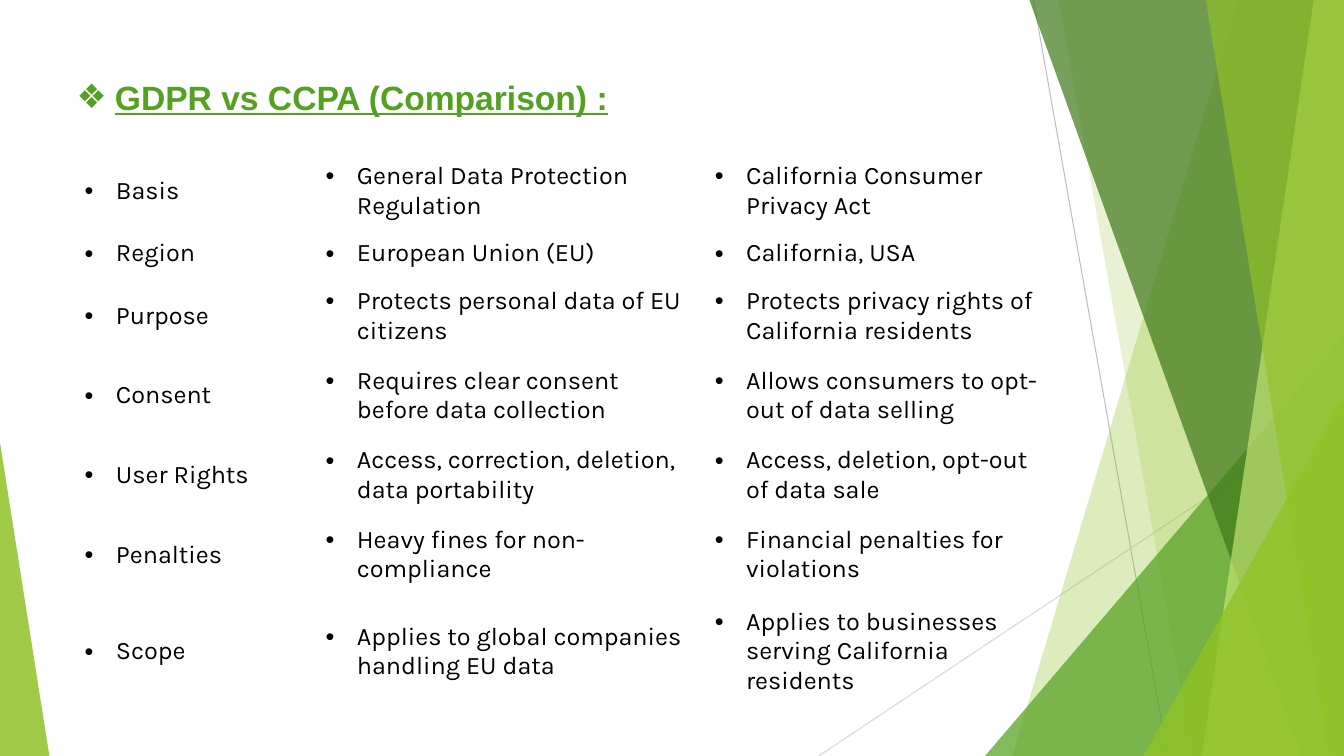
from lxml.etree import SubElement as Sub
from pptx import Presentation
from pptx.dml.color import RGBColor as Rgb
from pptx.enum.shapes import MSO_CONNECTOR as Conn, MSO_SHAPE as Kind
from pptx.enum.text import MSO_ANCHOR as Anchor, MSO_AUTO_SIZE as Auto, PP_ALIGN as Align
from pptx.oxml.ns import qn
from pptx.util import Inches, Pt

HUES = {"lime": "90C226", "green": "54A021", "dark": "3F7819", "pale": "C0E474",
        "gray": "BFBFBF", "mist": "D9D9D9", "ink": "000000"}
PLAIN = "{2D5ABB26-0587-4C30-8999-92F81FD0307C}"

RAYS = [(0.48, 0, 1.81, 7.5, "gray"), (3.56, 4.03, -1.65, 7.5, "mist")]
PARTS = [
    ("band", 2.51, 0.27, "lime", 30),
    ("band", 0.73, 2.06, "lime", 20),
    ("peak", 0, 3.33, "green", 72),
    ("band", 0.44, 3.14, "dark", 70),
    ("band", 3.26, 2.15, "pale", 70),
    ("band", 2.19, 3.41, "lime", 65),
    ("peak", 1.57, 3.93, "lime", 80),
]
WIDTHS = [2.39, 3.86, 3.44]
HEIGHTS = [0.79, 0.45, 0.79, 0.79, 0.79, 0.79, 1.13]
ROWS = [
    ("Basis", "General Data Protection Regulation", "California Consumer Privacy Act"),
    ("Region", "European Union (EU)", "California, USA"),
    ("Purpose", "Protects personal data of EU citizens",
     "Protects privacy rights of California residents"),
    ("Consent", "Requires clear consent before data collection",
     "Allows consumers to opt-out of data selling"),
    ("User Rights", "Access, correction, deletion, data portability",
     "Access, deletion, opt-out of data sale"),
    ("Penalties", "Heavy fines for non-compliance", "Financial penalties for violations"),
    ("Scope", "Applies to global companies handling EU data",
     "Applies to businesses serving California residents"),
]


def tint(shape, hue, alpha):
    """Fill a shape with a partly clear colour and no outline."""
    shape.shadow.inherit = False
    shape.line.fill.background()
    shape.fill.solid()
    shape.fill.fore_color.rgb = Rgb.from_string(HUES[hue])
    clr = shape.fill._xPr.find(".//" + qn("a:srgbClr"))
    Sub(clr, qn("a:alpha"), val=str(alpha * 1000))


def style(para, face, size, hue, mark, dent):
    """Format the runs of a paragraph and give it a hanging bullet."""
    for run in para.runs:
        run.font.name = face
        run.font.size = Pt(size)
        run.font.color.rgb = Rgb.from_string(HUES[hue])
    props = para._p.get_or_add_pPr()
    props.set("marL", str(Inches(dent)))
    props.set("indent", str(-Inches(dent)))
    Sub(props, qn("a:buFont"), typeface="Arial")
    Sub(props, qn("a:buChar"), char=mark)


def add_ray(slide, left, top, ray):
    """Draw one thin line, measured from the given corner."""
    x1, y1, x2, y2, hue = ray
    line = slide.shapes.add_connector(
        Conn.STRAIGHT, Inches(left + x1), Inches(top + y1),
        Inches(left + x2), Inches(top + y2))
    line.line.color.rgb = Rgb.from_string(HUES[hue])
    line.line.width = Pt(0.75)
    Sub(line._element.spPr, qn("a:effectLst"))


def add_band(slide, box, head, foot):
    """Draw a slanted band that reaches the right side of the box."""
    left, top, width, height = box
    right, base = left + width, top + height
    spots = [(left + head, top), (right, top), (right, base), (left + foot, base)]
    spots = [(Inches(x), Inches(y)) for x, y in spots]
    form = slide.shapes.build_freeform(*spots[0])
    form.add_line_segments(spots[1:], close=True)
    return form.convert_to_shape()


def add_peak(slide, box, tip):
    """Draw a triangle that fills the box, its tip at a share of the width."""
    peak = slide.shapes.add_shape(Kind.ISOSCELES_TRIANGLE, *map(Inches, box))
    peak.adjustments[0] = tip
    return peak


def add_fan(slide, box):
    """Draw the overlapping green shards within the box."""
    left, top, width, height = box
    for ray in RAYS:
        add_ray(slide, left, top, ray)
    for kind, first, second, hue, alpha in PARTS:
        if kind == "band":
            shard = add_band(slide, box, first, second)
        else:
            area = left + first, top + second, width - first, height - second
            shard = add_peak(slide, area, 1)
        tint(shard, hue, alpha)


def add_title(slide, box):
    """Place the underlined heading in the box."""
    title = slide.shapes.title
    title.left, title.top, title.width, title.height = map(Inches, box)
    frame = title.text_frame
    frame.text = "GDPR vs CCPA (Comparison) :"
    frame.word_wrap = True
    frame.auto_size = Auto.NONE
    frame.vertical_anchor = Anchor.TOP
    frame.margin_top = Inches(0.07)
    frame.margin_right = 0
    para = frame.paragraphs[0]
    para.alignment = Align.LEFT
    style(para, "Arial", 24, "green", "❖", 0.38)
    font = para.runs[0].font
    font.bold = font.underline = True


def add_grid(slide, box):
    """Place the comparison table in the box."""
    frame = slide.shapes.add_table(len(ROWS), len(WIDTHS), *map(Inches, box))
    grid = frame.table
    grid.first_row = grid.horz_banding = False
    grid._tbl.tblPr.find(qn("a:tableStyleId")).text = PLAIN
    for col, width in zip(grid.columns, WIDTHS):
        col.width = Inches(width)
    for row, height, texts in zip(grid.rows, HEIGHTS, ROWS):
        row.height = Inches(height)
        for cell, text in zip(row.cells, texts):
            cell.fill.background()
            cell.vertical_anchor = Anchor.MIDDLE
            cell.text_frame.text = text
            style(cell.text_frame.paragraphs[0], "Karla", 18, "ink", "•", 0.31)


def main():
    """Build the slide and save it."""
    deck = Presentation()
    deck.slide_width, deck.slide_height = Inches(13.33), Inches(7.5)
    slide = deck.slides.add_slide(deck.slide_layouts[5])
    add_fan(slide, (9.77, 0, 3.56, 7.5))
    tint(add_peak(slide, (0, 4.39, 0.49, 3.11), 0), "lime", 85)
    add_grid(slide, (0.74, 1.5, sum(WIDTHS), sum(HEIGHTS)))
    add_title(slide, (0.66, 0.69, 5.52, 0.81))
    deck.save("out.pptx")


if __name__ == "__main__":
    main()
